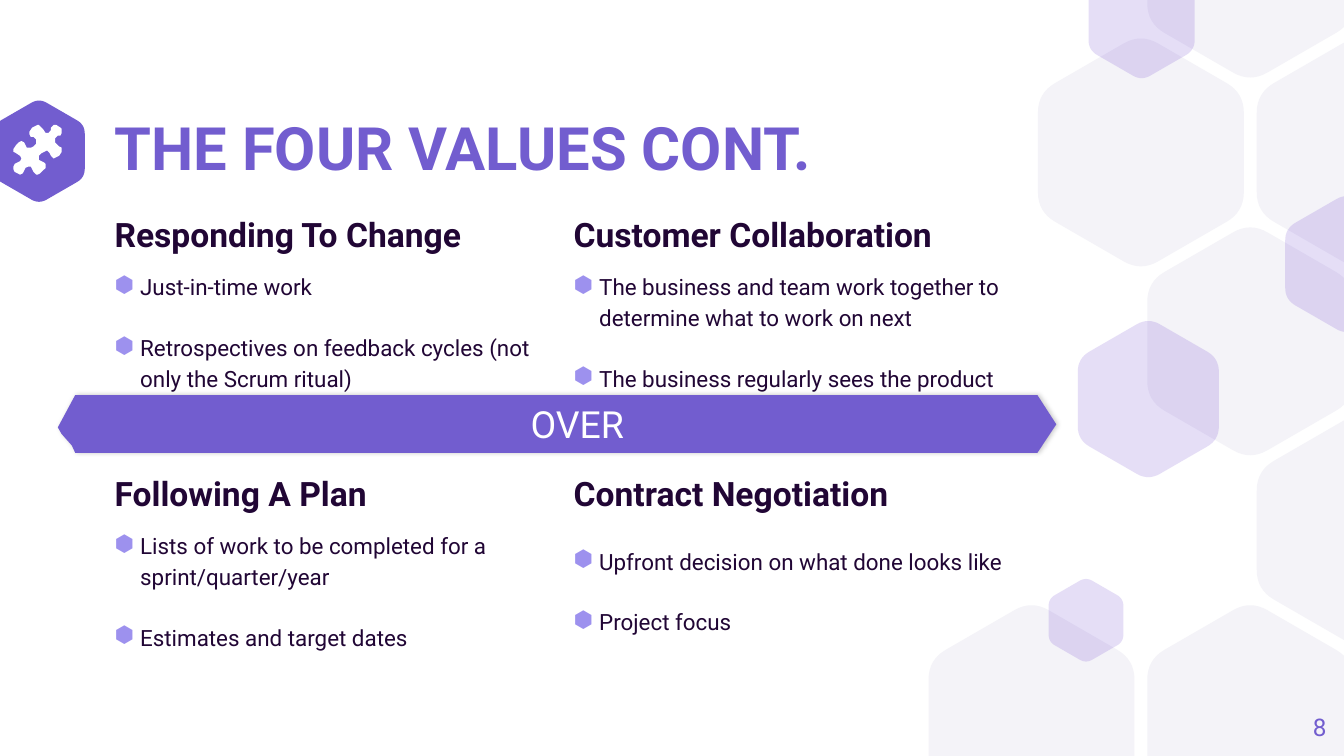
import math
from lxml import etree
from pptx import Presentation, util as u
from pptx.dml import color as dc
from pptx.enum import text as t
from pptx.oxml import ns

Pt = u.Pt
HUES = {"main": "725DCF", "ink": "210635", "dot": "9D91EE",
        "pale": "F4F3F8", "tint": "5322C9", "white": "FFFFFF"}
WIDE, HIGH = 720, 405

deck = Presentation()
deck.slide_width, deck.slide_height = Pt(WIDE), Pt(HIGH)
slide = deck.slides.add_slide(deck.slide_layouts[5])
tree = slide.shapes


def say(frame, words, size=12, hue="ink", bold=False, line=1.0, above=0,
        align=t.PP_ALIGN.LEFT, mid=False, left=0, dot=False):
    frame.word_wrap = True
    frame.auto_size = t.MSO_AUTO_SIZE.NONE
    frame.margin_left = Pt(left)
    frame.margin_top = frame.margin_right = frame.margin_bottom = 0
    frame.vertical_anchor = t.MSO_ANCHOR.MIDDLE if mid else t.MSO_ANCHOR.TOP
    para = frame.paragraphs[0] if not frame.text else frame.add_paragraph()
    para.alignment, para.line_spacing, para.space_before = align, line, Pt(above)
    run = para.add_run()
    run.text = words
    run.font.name, run.font.size, run.font.bold = "Roboto", Pt(size), bold
    run.font.color.rgb = dc.RGBColor.from_string(HUES[hue])
    if dot:
        props = para._p.get_or_add_pPr()
        props.set("marL", str(Pt(13.7)))
        props.set("indent", str(Pt(-13.7)))
        tone = etree.SubElement(props, ns.qn("a:buClr"))
        etree.SubElement(tone, ns.qn("a:srgbClr"), val=HUES["dot"])
        etree.SubElement(props, ns.qn("a:buChar"), char="⬢")


def draw(spots, hue, alpha=None):
    spots = [(x * 100, y * 100) for x, y in spots]
    pen = tree.build_freeform(*spots[0], scale=Pt(1) / 100)
    pen.add_line_segments(spots[1:], close=True)
    form = pen.convert_to_shape()
    form.shadow.inherit = False
    form.fill.solid()
    form.fill.fore_color.rgb = dc.RGBColor.from_string(HUES[hue])
    form.line.fill.background()
    if alpha:
        tone = form._element.spPr.find(".//" + ns.qn("a:srgbClr"))
        etree.SubElement(tone, ns.qn("a:alpha"), val=str(alpha * 1000))
    return form


cells = [(-1, 3), (1, 3), (2, 0), (1, -1), (1, 1), (0, 0), (2, 2)]
hexes = [(20.9, 81, 49, "main", None)]
hexes += [(611.2 + 58.6 * col, 81.7 + 101.2 * row, 110.3, "pale", None)
          for col, row in cells]
hexes += [(x, y, wide, "tint", 15) for x, y, wide in
          [(721.4, 141.5, 65.8), (581.8, 332.3, 40),
           (611.6, 10.4, 56.9), (615.2, 213.8, 75.6)]]

for x, y, wide, hue, alpha in hexes:
    side = wide / math.sqrt(3)
    tips = [(x + side * math.sin(k * math.pi / 3),
             y - side * math.cos(k * math.pi / 3)) for k in range(6)]
    spots = []
    for k, tip in enumerate(tips):
        last, after = tips[k - 1], tips[(k + 1) % 6]
        for step in range(9):
            s = step / 8
            a, b = (1 - s) ** 2 / 6, s ** 2 / 6
            px, py = [m + a * (l - m) + b * (n - m)
                      for l, m, n in zip(last, tip, after)]
            spots.append((px, min(max(py, 0), HIGH)))
    draw(spots, hue, alpha)

title = tree.title
title.left, title.top, title.width, title.height = map(Pt, (61.4, 65.5, 525.6, 31))
say(title.text_frame, "THE FOUR VALUES CONT.", size=32, hue="main", bold=True,
    line=0.9, mid=True)
tree._spTree.append(title._element)

blocks = [
    (61.4, 111.6, 245.5, 8, "Responding To Change",
     ["Just-in-time work",
      "Retrospectives on feedback cycles (not only the Scrum ritual)"]),
    (307.3, 111.6, 245.5, 8, "Customer Collaboration",
     ["The business and team work together to determine what to work on next",
      "The business regularly sees the product"]),
    (61.4, 250.2, 245.5, 8, "Following A Plan",
     ["Lists of work to be completed for a sprint/quarter/year",
      "Estimates and target dates"]),
    (307.3, 250.2, 257.8, 16.2, "Contract Negotiation",
     ["Upfront decision on what done looks like", "Project focus"]),
]
for x, y, wide, gap, head, points in blocks:
    frame = tree.add_textbox(Pt(x), Pt(y), Pt(wide), Pt(108)).text_frame
    say(frame, head, size=18, bold=True, line=1.15)
    for above, point in zip((gap, 16), points):
        say(frame, point, line=1.15, above=above, dot=True)

page = tree.add_textbox(Pt(667.4), Pt(373.7), Pt(43.2), Pt(31))
say(page.text_frame, "8", size=13, hue="main", align=t.PP_ALIGN.RIGHT, mid=True)

band = draw([(40.3, 211.7), (555.8, 211.7), (565.9, 227.4), (555.8, 242.6),
             (40.3, 242.6), (38.5, 238.7), (33, 232.5), (31, 229)], "main")
say(band.text_frame, "OVER", size=20, hue="white", align=t.PP_ALIGN.CENTER,
    mid=True, left=21.6)
glow = etree.SubElement(band._element.spPr.find(ns.qn("a:effectLst")),
                        ns.qn("a:outerShdw"), blurRad=str(Pt(2.2)),
                        dist=str(Pt(0.8)), dir="0")
tone = etree.SubElement(glow, ns.qn("a:srgbClr"), val="000000")
etree.SubElement(tone, ns.qn("a:alpha"), val="20000")

puzzle = [
    (28, 93), (26, 94), (24, 95), (22, 98), (22, 100), (23, 102), (25, 102),
    (27, 104), (27, 107), (25, 109), (23, 110), (20, 110), (19, 108), (18, 106),
    (16, 105), (14, 106), (12, 108), (10, 111), (10, 113), (12, 114), (15, 116),
    (16, 118), (15, 120), (13, 121), (11, 122), (10, 124), (10, 126), (11, 128),
    (13, 129), (15, 130), (17, 129), (18, 127), (19, 125), (21, 124), (23, 124),
    (25, 128), (27, 130), (28, 130), (30, 129), (32, 127), (34, 125), (34, 122),
    (33, 121), (31, 120), (29, 119), (29, 116), (31, 114), (33, 113), (35, 112),
    (37, 114), (38, 116), (40, 118), (42, 117), (44, 116), (46, 113), (46, 110),
    (44, 109), (41, 106), (41, 103), (43, 101), (45, 101), (46, 99), (46, 96),
    (45, 95), (42, 93), (40, 93), (38, 95), (38, 97), (36, 99), (34, 99),
    (32, 96), (29, 93)]
draw([(x * 0.72, y * 0.72) for x, y in puzzle], "white")

deck.save("out.pptx")
